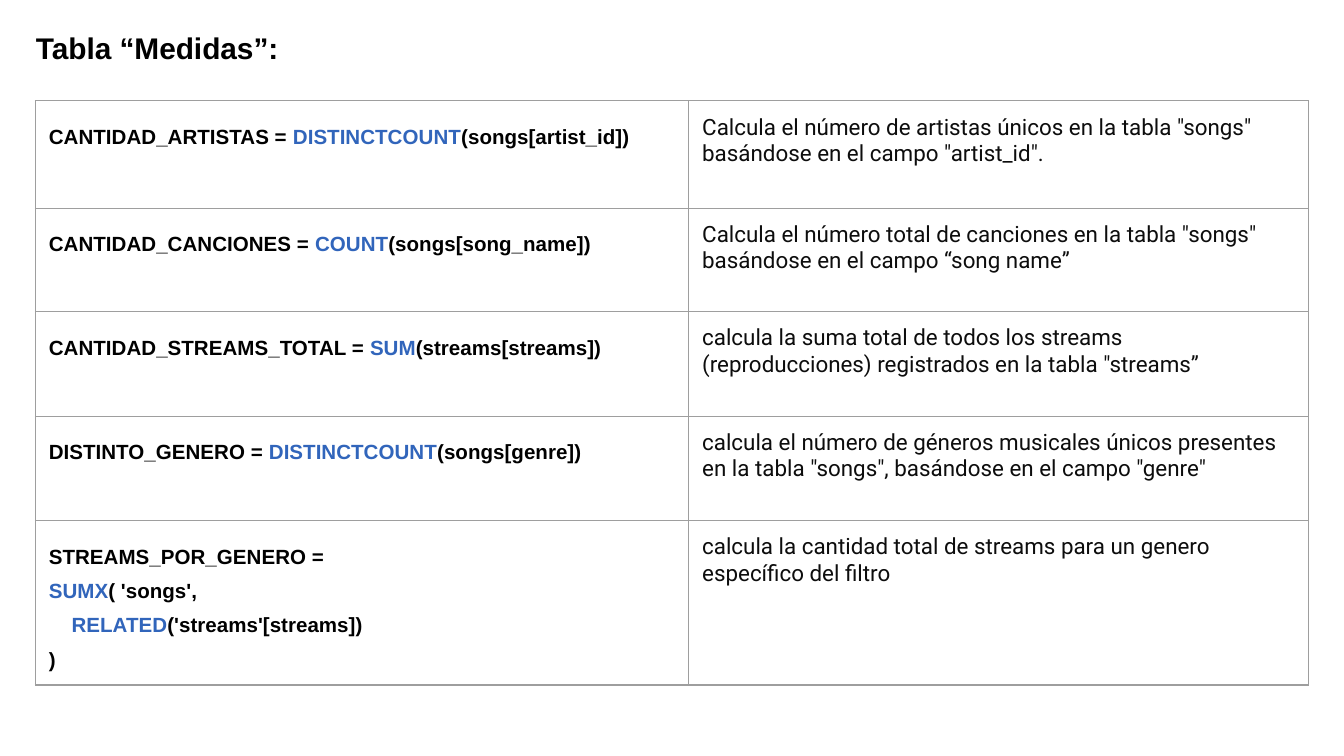
import pptx
import pptx.dml.color
import pptx.enum.text
import pptx.oxml
import pptx.oxml.ns
import pptx.util

Pt = pptx.util.Pt
BLACK = pptx.dml.color.RGBColor(0x00, 0x00, 0x00)
INK = pptx.dml.color.RGBColor(0x0D, 0x0D, 0x0D)
BLUE = pptx.dml.color.RGBColor(0x31, 0x65, 0xBB)
GREY = pptx.dml.color.RGBColor(0x9E, 0x9E, 0x9E)

INSET = Pt(7.2)
FUNCTION_INDENT = Pt(12.2)
COLUMN_WIDTHS = (350, 332)
ROW_HEIGHTS = (57.6, 55.4, 56, 56, 88)

# Function names sit between bars.
MEASURES = [
    (["CANTIDAD_ARTISTAS = |DISTINCTCOUNT|(songs[artist_id])"],
     'Calcula el número de artistas únicos en la tabla "songs" basándose en el campo "artist_id".'),
    (["CANTIDAD_CANCIONES = |COUNT|(songs[song_name])"],
     'Calcula el número total de canciones en la tabla "songs" basándose en el campo “song name”'),
    (["CANTIDAD_STREAMS_TOTAL = |SUM|(streams[streams])"],
     'calcula la suma total de todos los streams (reproducciones) registrados en la tabla "streams”'),
    (["DISTINTO_GENERO = |DISTINCTCOUNT|(songs[genre])"],
     'calcula el número de géneros musicales únicos presentes en la tabla "songs", basándose en el campo "genre"'),
    (["STREAMS_POR_GENERO =", "|SUMX|( 'songs',", "\t|RELATED|('streams'[streams])", ")"],
     "calcula la cantidad total de streams para un genero específico del filtro"),
]


class MeasuresSlide:
    def __init__(self, deck):
        self.slide = deck.slides.add_slide(deck.slide_layouts[5])

    def style(self, run, font, size, color, bold=False):
        run.font.name = font
        run.font.size = Pt(size)
        run.font.bold = bold
        run.font.color.rgb = color

    def title(self, wording, left, top, width, height):
        heading = self.slide.shapes.title
        heading.left, heading.top, heading.width, heading.height = map(Pt, (left, top, width, height))
        frame = heading.text_frame
        frame.text = wording
        frame.word_wrap = True
        frame.auto_size = pptx.enum.text.MSO_AUTO_SIZE.NONE
        frame.vertical_anchor = pptx.enum.text.MSO_ANCHOR.TOP
        frame.margin_left = frame.margin_right = frame.margin_top = frame.margin_bottom = INSET
        line = frame.paragraphs[0]
        line.alignment = pptx.enum.text.PP_ALIGN.LEFT
        line.line_spacing = 1.15
        line.space_before = Pt(0)
        line.space_after = Pt(12)
        self.style(line.runs[0], "Arial", 16, BLACK, True)

    def border(self, cell):
        properties = cell._tc.get_or_add_tcPr()
        for side in ("lnL", "lnR", "lnT", "lnB"):
            properties.append(pptx.oxml.parse_xml(
                f'<a:{side} {pptx.oxml.ns.nsdecls("a")} w="{Pt(0.75)}">'
                f'<a:solidFill><a:srgbClr val="{GREY}"/></a:solidFill></a:{side}>'))

    def formula(self, cell, lines):
        frame = cell.text_frame
        for number, code in enumerate(lines):
            line = frame.add_paragraph() if number else frame.paragraphs[0]
            line.line_spacing = 1.5
            if code.startswith("\t"):
                line._p.get_or_add_pPr().set("marL", str(FUNCTION_INDENT))
            for position, part in enumerate(code.lstrip("\t").split("|")):
                if part:
                    run = line.add_run()
                    run.text = part
                    self.style(run, "Arial", 11, BLUE if position % 2 else BLACK, True)

    def description(self, cell, wording):
        cell.text_frame.text = wording
        self.style(cell.text_frame.paragraphs[0].runs[0], "Roboto", 12, INK)

    def table(self, measures, left, top):
        grid = self.slide.shapes.add_table(
            len(measures), len(COLUMN_WIDTHS), Pt(left), Pt(top),
            Pt(sum(COLUMN_WIDTHS)), Pt(sum(ROW_HEIGHTS))).table
        grid.first_row = grid.horz_banding = False
        for column, width in zip(grid.columns, COLUMN_WIDTHS):
            column.width = Pt(width)
        for row, height, (lines, wording) in zip(grid.rows, ROW_HEIGHTS, measures):
            row.height = Pt(height)
            for cell in row.cells:
                cell.margin_left = cell.margin_right = cell.margin_top = cell.margin_bottom = INSET
                self.border(cell)
                cell.fill.background()
            self.formula(row.cells[0], lines)
            self.description(row.cells[1], wording)


def main():
    deck = pptx.Presentation()
    deck.slide_width, deck.slide_height = Pt(720), Pt(405)
    measures_slide = MeasuresSlide(deck)
    measures_slide.title("Tabla “Medidas”:", 12, 6, 155, 34)
    measures_slide.table(MEASURES, 19, 54)
    deck.save("out.pptx")


if __name__ == "__main__":
    main()
